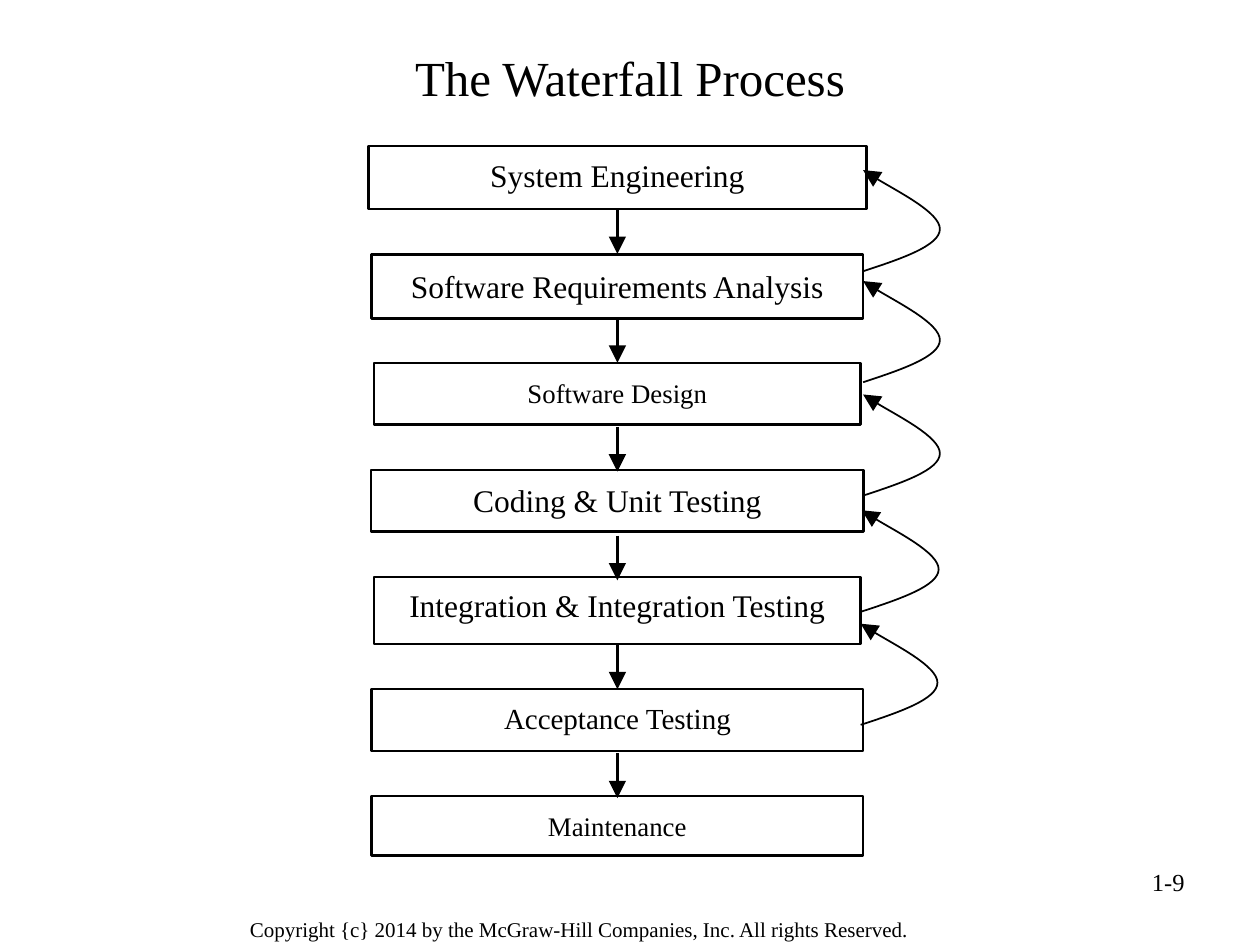
from dataclasses import dataclass

from lxml import etree
from pptx import Presentation
from pptx import util as u
from pptx.dml import color
from pptx.enum import shapes, text
from pptx.oxml import ns


@dataclass(frozen=True)
class Theme:
    """Colours, typeface and type sizes of the deck."""
    font: str = "Times New Roman"
    ink: color.RGBColor = color.RGBColor(0, 0, 0)
    paper: color.RGBColor = color.RGBColor(255, 255, 255)
    title: float = 28
    large: float = 18
    medium: float = 16.6
    small: float = 15.3
    number: float = 14
    footer: float = 12
    heavy: float = 1.5
    light: float = 1


THEME = Theme()
CENTRE = 352.8
ARROW_TOP, ARROW_STEP, ARROW_LENGTH = 119.5, 62.2, 25.6

# name, type size, frame width, frame top, frame height, label top, label height
STAGES = [
    ("System Engineering", THEME.large, 284.4, 83.5, 36, 85.7, 33.1),
    ("Software Requirements Analysis", THEME.large, 280.8, 145.4, 36.7, 149, 31),
    ("Software Design", THEME.small, 277.9, 207.4, 35.3, 211.7, 27.4),
    ("Coding & Unit Testing", THEME.large, 281.5, 268.6, 35.3, 271.4, 29.5),
    ("Integration & Integration Testing", THEME.large, 277.9, 329.8, 38.2, 331.2, 36),
    ("Acceptance Testing", THEME.medium, 280.8, 393.8, 35.3, 396.7, 28.1),
    ("Maintenance", THEME.small, 280.8, 455, 33.8, 459.4, 25.9),
]
FEEDBACK_TIPS = [(493.2, 97.2), (493.2, 160.6), (493.2, 225.4), (492.5, 291.6), (491.8, 356.4)]
LOOP_START = (0, 57.8)
LOOP_CURVES = [
    [(22, 50.6), (43.9, 43.2), (43.9, 33.7)],
    [(43.9, 24.3), (7.2, 5.4), (0, 0)],
]


def points(*lengths):
    """Convert lengths in points for python-pptx."""
    return [u.Pt(length) for length in lengths]


def write_text(box, words, *, size, align=text.PP_ALIGN.LEFT, anchor=text.MSO_ANCHOR.TOP):
    """Write one formatted paragraph into a box."""
    frame = box.text_frame
    frame.word_wrap = True
    frame.vertical_anchor = anchor
    para = frame.paragraphs[0]
    para.alignment = align
    span = para.add_run()
    span.text = words
    span.font.name = THEME.font
    span.font.size = u.Pt(size)
    span.font.color.rgb = THEME.ink


class PageBuilder:
    """Draw themed elements on the current slide."""

    def __init__(self, theme, page):
        self.theme = theme
        self.page = page

    def title(self, words, left, top, width, height):
        """Place and fill the title placeholder."""
        box = self.page.shapes.title
        box.left, box.top, box.width, box.height = points(left, top, width, height)
        write_text(box, words, size=self.theme.title,
                   align=text.PP_ALIGN.CENTER, anchor=text.MSO_ANCHOR.MIDDLE)

    def note(self, words, left, top, width, height, **style):
        """Add a free-standing text box."""
        box = self.page.shapes.add_textbox(*points(left, top, width, height))
        write_text(box, words, **style)

    def rectangle(self, width, top, height):
        """Add a bare rectangle on the centre axis."""
        box = self.page.shapes.add_shape(
            shapes.MSO_SHAPE.RECTANGLE, *points(CENTRE - width / 2, top, width, height))
        box.shadow.inherit = False
        return box

    def stage(self, words, size, width, top, height, label_top, label_height):
        """Add a stage as a filled label inside an outlined frame."""
        label = self.rectangle(width, label_top, label_height)
        label.fill.solid()
        label.fill.fore_color.rgb = self.theme.paper
        label.line.fill.background()
        write_text(label, words, size=size, align=text.PP_ALIGN.CENTER)
        frame = self.rectangle(width, top, height)
        frame.fill.background()
        self.outline(frame, self.theme.heavy)

    def outline(self, shape, width):
        """Give a shape a line in the ink colour."""
        shape.line.color.rgb = self.theme.ink
        shape.line.width = u.Pt(width)

    def arrowhead(self, shape):
        """End a line with a large triangle."""
        line = shape.element.spPr.find(ns.qn("a:ln"))
        etree.SubElement(line, ns.qn("a:tailEnd"), type="triangle", w="lg", len="lg")

    def arrow(self, top):
        """Add a downward arrow on the centre axis."""
        arrow = self.page.shapes.add_connector(
            shapes.MSO_CONNECTOR.STRAIGHT, *points(CENTRE, top, CENTRE, top + ARROW_LENGTH))
        self.outline(arrow, self.theme.heavy)
        self.arrowhead(arrow)
        etree.SubElement(arrow.element.spPr, ns.qn("a:effectLst"))

    def feedback(self, left, top):
        """Add a curved arrow that returns to the stage above."""
        builder = self.page.shapes.build_freeform(*points(*LOOP_START))
        builder.add_line_segments([points(*curve[-1]) for curve in LOOP_CURVES], close=False)
        loop = builder.convert_to_shape(*points(left, top))
        for segment, curve in zip(list(loop.element.iter(ns.qn("a:lnTo"))), LOOP_CURVES):
            bezier = etree.Element(ns.qn("a:cubicBezTo"))
            for x, y in curve:
                etree.SubElement(bezier, ns.qn("a:pt"), x=str(u.Pt(x)), y=str(u.Pt(y)))
            segment.getparent().replace(segment, bezier)
        loop.shadow.inherit = False
        loop.fill.background()
        self.outline(loop, self.theme.light)
        self.arrowhead(loop)


def main():
    """Build and save the deck."""
    deck = Presentation()
    deck.slide_width, deck.slide_height = points(720, 540)
    builder = PageBuilder(THEME, deck.slides.add_slide(deck.slide_layouts[5]))
    builder.note("Copyright {c} 2014 by the McGraw-Hill Companies, Inc. All rights Reserved.",
                 135.7, 520.2, 445.7, 22.3, size=THEME.footer)
    builder.note("1-9", 516.2, 491.8, 167.8, 37.4,
                 size=THEME.number, align=text.PP_ALIGN.RIGHT)
    builder.title("The Waterfall Process", 36, 21.6, 648, 44.6)
    for stage in STAGES:
        builder.stage(*stage)
    for index in range(len(STAGES) - 1):
        builder.arrow(ARROW_TOP + index * ARROW_STEP)
    for tip in FEEDBACK_TIPS:
        builder.feedback(*tip)
    deck.save("out.pptx")


if __name__ == "__main__":
    main()
